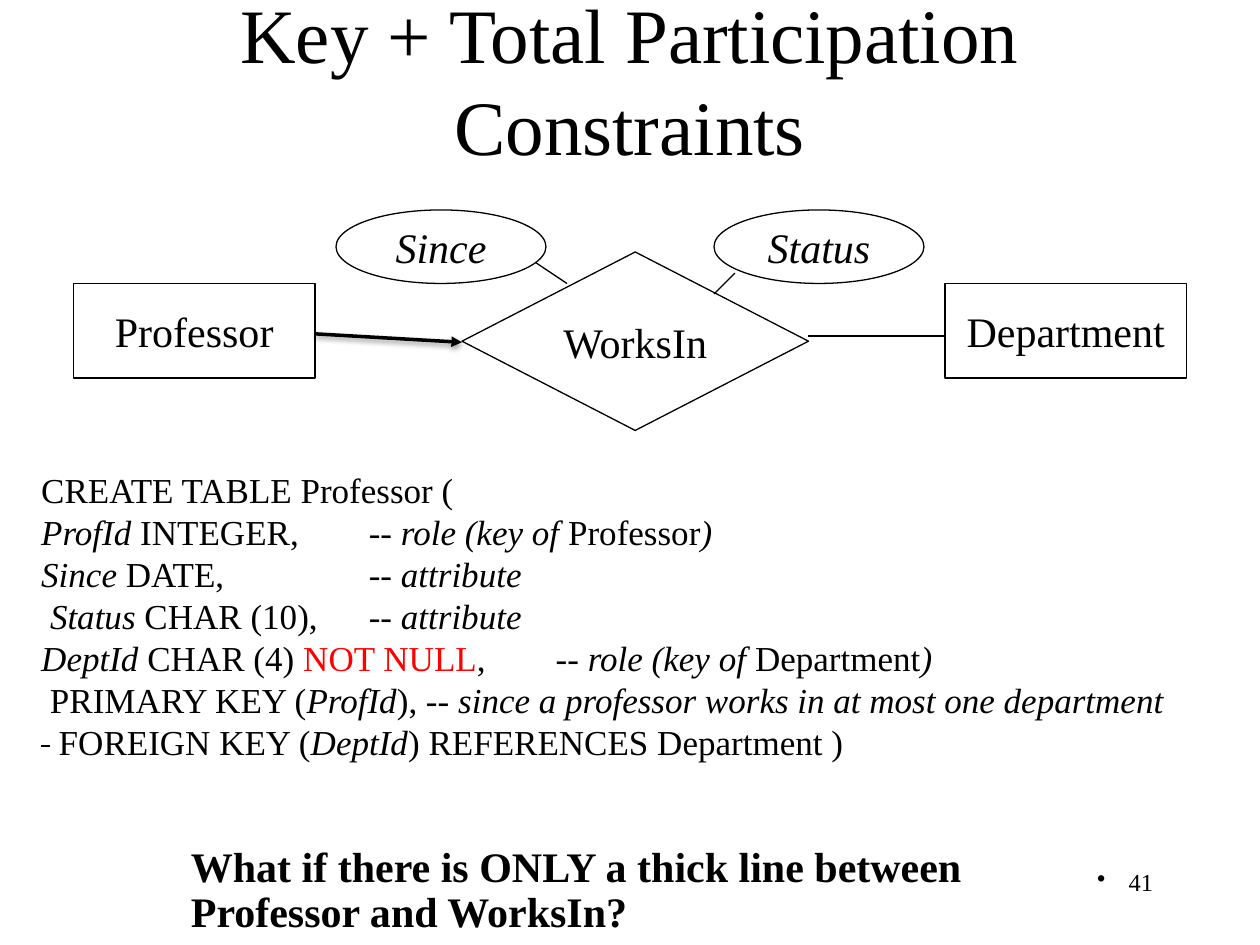
from dataclasses import dataclass
from typing import NamedTuple

from lxml.etree import SubElement
from pptx import Presentation
from pptx.dml.color import RGBColor
from pptx.enum.shapes import MSO_CONNECTOR, MSO_SHAPE
from pptx.enum.text import MSO_ANCHOR as Anchor, MSO_AUTO_SIZE as AutoSize, PP_ALIGN as Align
from pptx.oxml.ns import qn
from pptx.util import Inches, Length, Pt


@dataclass(frozen=True)
class Theme:
    font: str = "Times New Roman"
    ink: str = "000000"
    paper: str = "FFFFFF"
    accent: str = "FF0000"
    title: int = 44
    label: int = 24
    code: int = 20
    number: int = 14
    thin: float = 0.75
    thick: float = 2


class Box(NamedTuple):
    column: float
    row: float
    columns: float
    rows: float


class Piece(NamedTuple):
    text: str
    italic: bool = False
    bold: bool = False
    accent: bool = False
    strike: bool = False


class Node(NamedTuple):
    preset: MSO_SHAPE
    box: Box
    piece: Piece


class Link(NamedTuple):
    start: tuple[float, float]
    end: tuple[float, float]
    arrow: bool = False


class CodeLine(NamedTuple):
    pieces: list[Piece]
    tab: float = 0


THEME = Theme()
CELLS_PER_INCH = 12
COMMENT_TAB = 31.2
WIDE_COMMENT_TAB = 49

TITLE = Box(9, 0, 102, 15)
CODE = Box(2.75, 44, 114.5, 29.5)
QUESTION = Box(17, 80, 88.5, 10)
NUMBER = Box(86, 82, 25, 6)

NODES = [
    Node(MSO_SHAPE.DIAMOND, Box(44, 24, 33, 17), Piece("WorksIn")),
    Node(MSO_SHAPE.RECTANGLE, Box(7, 27, 23, 9), Piece("Professor")),
    Node(MSO_SHAPE.RECTANGLE, Box(90, 27, 23, 9), Piece("Department")),
    Node(MSO_SHAPE.OVAL, Box(32, 20, 20, 7), Piece("Since", italic=True)),
    Node(MSO_SHAPE.OVAL, Box(68, 20, 20, 7), Piece("Status", italic=True)),
]

LINKS = [
    Link((77, 32), (90, 32)),
    Link((70, 26), (68, 28)),
    Link((51, 25), (54, 27)),
    Link((30.1, 31.8), (44, 32.6), arrow=True),
]

CODE_LINES = [
    CodeLine([Piece("CREATE TABLE Professor (")]),
    CodeLine([Piece("ProfId", True), Piece(" INTEGER,\t-- "), Piece("role (key of ", True),
              Piece("Professor"), Piece(")", True)], COMMENT_TAB),
    CodeLine([Piece("Since", True), Piece(" DATE,\t-- "), Piece("attribute", True)], COMMENT_TAB),
    CodeLine([Piece(" "), Piece("Status", True), Piece(" CHAR (10),\t-- "),
              Piece("attribute", True)], COMMENT_TAB),
    CodeLine([Piece("DeptId", True), Piece(" CHAR (4) "), Piece("NOT NULL", accent=True),
              Piece(",\t-- "), Piece("role (key of ", True), Piece("Department"),
              Piece(")", True)], WIDE_COMMENT_TAB),
    CodeLine([Piece(" PRIMARY KEY ("), Piece("ProfId", True), Piece("), -- "),
              Piece("since a professor works in at most one department", True)]),
    CodeLine([Piece(" ", strike=True), Piece(" FOREIGN KEY ("), Piece("DeptId", True),
              Piece(") REFERENCES Department )")]),
]


def cells(count: float) -> Length:
    return Inches(count / CELLS_PER_INCH)


def place(box: Box) -> list[Length]:
    return [cells(value) for value in box]


def add_pieces(paragraph, pieces: list[Piece], size: int) -> None:
    for piece in pieces:
        run = paragraph.add_run()
        run.text = piece.text
        font = run.font
        font.name, font.size = THEME.font, Pt(size)
        font.italic, font.bold = piece.italic, piece.bold
        font.color.rgb = RGBColor.from_string(THEME.accent if piece.accent else THEME.ink)
        if piece.strike:
            run._r.get_or_add_rPr().set("strike", "sngStrike")


def add_text_box(slide, box: Box):
    frame = slide.shapes.add_textbox(*place(box)).text_frame
    frame.word_wrap = True
    return frame


def add_title(slide, text: str) -> None:
    title = slide.shapes.title
    title.left, title.top, title.width, title.height = place(TITLE)
    frame = title.text_frame
    frame.auto_size = AutoSize.NONE
    frame.vertical_anchor = Anchor.MIDDLE
    paragraph = frame.paragraphs[0]
    paragraph.alignment = Align.CENTER
    add_pieces(paragraph, [Piece(text)], THEME.title)


def add_node(slide, node: Node) -> None:
    shape = slide.shapes.add_shape(node.preset, *place(node.box))
    shape.shadow.inherit = False
    shape.fill.solid()
    shape.fill.fore_color.rgb = RGBColor.from_string(THEME.paper)
    shape.line.color.rgb = RGBColor.from_string(THEME.ink)
    shape.line.width = Pt(THEME.thin)
    frame = shape.text_frame
    frame.word_wrap = False
    frame.vertical_anchor = Anchor.MIDDLE
    paragraph = frame.paragraphs[0]
    paragraph.alignment = Align.CENTER
    add_pieces(paragraph, [node.piece], THEME.label)


def add_link(slide, link: Link) -> None:
    ends = [cells(value) for value in link.start + link.end]
    connector = slide.shapes.add_connector(MSO_CONNECTOR.STRAIGHT, *ends)
    connector.line.color.rgb = RGBColor.from_string(THEME.ink)
    connector.line.width = Pt(THEME.thick if link.arrow else THEME.thin)
    properties = connector._element.spPr
    effects = SubElement(properties, qn("a:effectLst"))
    if link.arrow:
        SubElement(properties.find(qn("a:ln")), qn("a:tailEnd"), type="triangle")
        shadow = SubElement(effects, qn("a:outerShdw"), blurRad=str(Pt(3.1)),
                            dist=str(Pt(1.6)), dir="5400000", rotWithShape="0")
        color = SubElement(shadow, qn("a:srgbClr"), val=THEME.ink)
        SubElement(color, qn("a:alpha"), val="38000")


def add_code(slide, lines: list[CodeLine]) -> None:
    frame = add_text_box(slide, CODE)
    for index, line in enumerate(lines):
        paragraph = frame.add_paragraph() if index else frame.paragraphs[0]
        if line.tab:
            tabs = SubElement(paragraph._p.get_or_add_pPr(), qn("a:tabLst"))
            SubElement(tabs, qn("a:tab"), pos=str(cells(line.tab)), algn="l")
        add_pieces(paragraph, line.pieces, THEME.code)


def add_question(slide, text: str) -> None:
    paragraph = add_text_box(slide, QUESTION).paragraphs[0]
    paragraph.line_spacing = 0.9
    add_pieces(paragraph, [Piece(text, bold=True)], THEME.label)


def add_number(slide, text: str) -> None:
    paragraph = add_text_box(slide, NUMBER).paragraphs[0]
    paragraph.alignment = Align.RIGHT
    properties = paragraph._p.get_or_add_pPr()
    properties.set("marL", str(cells(3)))
    properties.set("indent", str(-cells(3)))
    SubElement(properties, qn("a:buChar"), char="•")
    add_pieces(paragraph, [Piece(text)], THEME.number)


def main() -> None:
    presentation = Presentation()
    presentation.slide_width, presentation.slide_height = cells(120), cells(90)
    slide = presentation.slides.add_slide(presentation.slide_layouts[5])
    add_title(slide, "Key + Total Participation Constraints")
    for node in NODES:
        add_node(slide, node)
    for link in LINKS:
        add_link(slide, link)
    add_code(slide, CODE_LINES)
    add_question(slide, "What if there is ONLY a thick line between Professor and WorksIn?")
    add_number(slide, "41")
    presentation.save("out.pptx")


if __name__ == "__main__":
    main()
